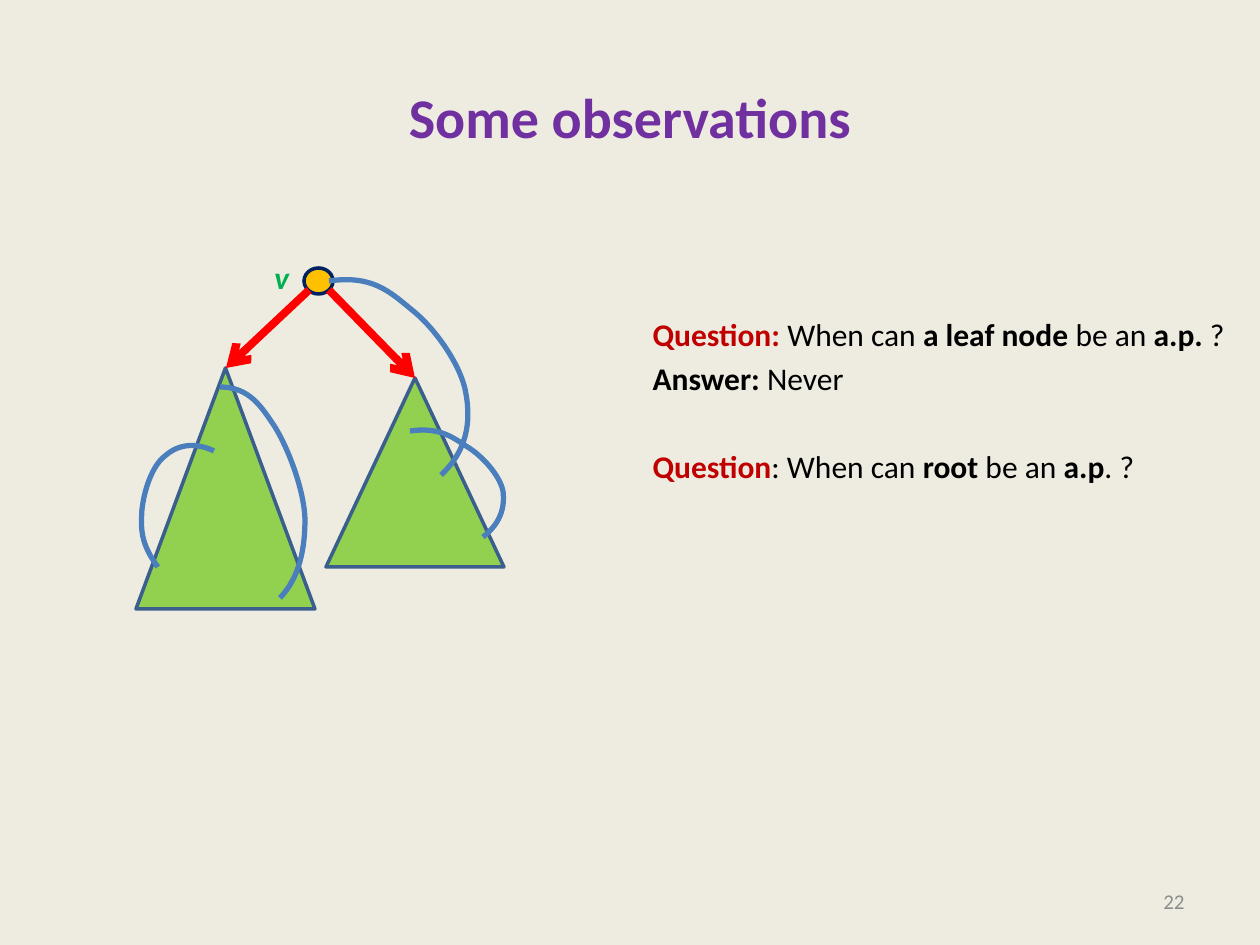
from lxml import etree
from pptx import Presentation
from pptx import util as u
from pptx.dml.color import RGBColor
from pptx.enum import shapes, text
from pptx.oxml import ns

SCALE = 914400 / 126
PAPER = RGBColor(0xEE, 0xEC, 0xE1)
PURPLE = RGBColor(0x70, 0x30, 0xA0)
CRIMSON = RGBColor(0xC0, 0x00, 0x00)
BLACK = RGBColor(0x00, 0x00, 0x00)
GREY = RGBColor(0x8C, 0x8C, 0x8C)
GREEN = RGBColor(0x00, 0xB0, 0x50)
LIME = RGBColor(0x92, 0xD0, 0x50)
STEEL = RGBColor(0x3A, 0x5F, 0x8C)
AMBER = RGBColor(0xFF, 0xC0, 0x00)
NAVY = RGBColor(0x00, 0x20, 0x60)
RED = RGBColor(0xFF, 0x00, 0x00)
BLUE = RGBColor(0x4B, 0x7E, 0xBC)

SUBTREES = [(0, 116, 179, 241), (190, 126, 178, 189)]
TREE_EDGES = [((193, 38), (279, 126)), ((173, 38), (90, 116))]
BACK_EDGES = [
    [(78, 199), (57, 189), (40, 194), (29, 204), (16, 214),
     (8, 239), (6, 258), (5, 276), (4, 291), (22, 315)],
    [(347, 285), (365, 271), (369, 255), (367, 239), (364, 224),
     (347, 204), (330, 194), (315, 184), (302, 175), (274, 179)],
    [(305, 223), (331, 199), (335, 170), (330, 142), (326, 115),
     (300, 77), (276, 58), (253, 39), (236, 23), (193, 29)],
    [(144, 346), (164, 325), (169, 296), (169, 267), (168, 238),
     (153, 198), (139, 175), (125, 154), (113, 135), (84, 135)],
]
QUESTIONS = [
    (3.6, [("Question: ", CRIMSON, True), ("When can", BLACK, False),
           (" a leaf node ", BLACK, True), ("be an ", BLACK, False),
           ("a.p.", BLACK, True), (" ?", BLACK, False)]),
    (3.6, [("Answer: ", BLACK, True), ("Never", BLACK, False)]),
    (28.8, [("Question", CRIMSON, True), (": When can ", BLACK, False),
            ("root", BLACK, True), (" be an ", BLACK, False),
            ("a.p", BLACK, True), (". ?", BLACK, False)]),
]


def px(length):
    """Turn px into EMU."""
    return u.Emu(round(length * SCALE))


def place(shape, box):
    """Move and size a shape to a px box."""
    shape.left, shape.top, shape.width, shape.height = map(px, box)


def add_span(para, words, size=18, color=BLACK, bold=False, italic=False):
    """Add one formatted run to a paragraph."""
    span = para.add_run()
    span.text = words
    font = span.font
    font.name, font.size, font.bold, font.italic = "Calibri", u.Pt(size), bold, italic
    font.color.rgb = color


def add_label(parent, box, words, align=text.PP_ALIGN.LEFT, anchor=text.MSO_ANCHOR.TOP,
              wrap=True, **style):
    """Add a text box holding one run."""
    frame = parent.shapes.add_textbox(*map(px, box)).text_frame
    frame.word_wrap, frame.vertical_anchor = wrap, anchor
    frame.paragraphs[0].alignment = align
    add_span(frame.paragraphs[0], words, **style)


def set_line(shape, color, width):
    """Colour and size the line of a shape."""
    shape.line.color.rgb = color
    shape.line.width = u.Pt(width)


def add_solid(parent, kind, box, fill, line):
    """Add a filled preset shape."""
    shape = parent.shapes.add_shape(kind, *map(px, box))
    shape.shadow.inherit = False
    shape.fill.solid()
    shape.fill.fore_color.rgb = fill
    set_line(shape, line, 2)


def add_arrow(parent, start, end):
    """Add a red tree edge with an open arrowhead."""
    arrow = parent.shapes.add_connector(shapes.MSO_CONNECTOR.STRAIGHT, *map(px, start + end))
    set_line(arrow, RED, 4.5)
    etree.SubElement(arrow.line._get_or_add_ln(), ns.qn("a:tailEnd"), type="arrow")
    etree.SubElement(arrow._element.spPr, ns.qn("a:effectLst"))


def add_curve(page, points):
    """Draw an open curve of joined cubic segments."""
    start, *controls = [tuple(map(px, point)) for point in points]
    builder = page.shapes.build_freeform(*start)
    builder.add_line_segments(controls, close=False)
    curve = builder.convert_to_shape()
    steps = list(curve._element.iter(ns.qn("a:lnTo")))
    for first in range(0, len(steps), 3):
        cubic = etree.SubElement(steps[first].getparent(), ns.qn("a:cubicBezTo"))
        for step in steps[first:first + 3]:
            cubic.append(step[0])
            step.getparent().remove(step)
    curve.shadow.inherit = False
    curve.fill.background()
    set_line(curve, BLUE, 3)


def add_tree(page, left, top):
    """Draw the root v, its two subtrees and the back edges."""
    def shift(point):
        return left + point[0], top + point[1]

    group = page.shapes.add_group_shape()
    for box in SUBTREES:
        add_solid(group, shapes.MSO_SHAPE.ISOSCELES_TRIANGLE, shift(box) + box[2:], LIME, STEEL)
    add_solid(group, shapes.MSO_SHAPE.OVAL, shift((168, 16)) + (29, 26), AMBER, NAVY)
    for start, end in TREE_EDGES:
        add_arrow(group, shift(start), shift(end))
    add_label(group, shift((126, 0)) + (40, 50), "v", wrap=False,
              color=GREEN, bold=True, italic=True)
    for points in BACK_EDGES:
        add_curve(page, [shift(point) for point in points])


def fill_title(title, box):
    """Write the heading."""
    place(title, box)
    para = title.text_frame.paragraphs[0]
    para.alignment = text.PP_ALIGN.CENTER
    add_span(para, "Some observations", size=32, color=PURPLE, bold=True)


def fill_questions(body, box):
    """Write the questions and the answer without bullets."""
    place(body, box)
    frame = body.text_frame
    frame.auto_size = text.MSO_AUTO_SIZE.NONE
    frame.margin_top = px(95)
    for index, (gap, spans) in enumerate(QUESTIONS):
        para = frame.add_paragraph() if index else frame.paragraphs[0]
        para.space_before = u.Pt(gap)
        props = para._p.get_or_add_pPr()
        props.set("marL", "0")
        props.set("indent", "0")
        etree.SubElement(props, ns.qn("a:buNone"))
        for words, color, bold in spans:
            add_span(para, words, color=color, bold=bold)


def main():
    """Build and save the slide."""
    deck = Presentation()
    deck.slide_width, deck.slide_height = px(1260), px(945)
    page = deck.slides.add_slide(deck.slide_layouts[1])
    page.background.fill.solid()
    page.background.fill.fore_color.rgb = PAPER
    fill_title(page.shapes.title, (63, 38, 1134, 157))
    fill_questions(page.placeholders[1], (640, 220, 620, 624))
    add_label(page, (903, 876, 294, 50), "22", align=text.PP_ALIGN.RIGHT,
              anchor=text.MSO_ANCHOR.MIDDLE, size=12, color=GREY)
    add_tree(page, 136, 252)
    deck.save("out.pptx")


if __name__ == "__main__":
    main()
